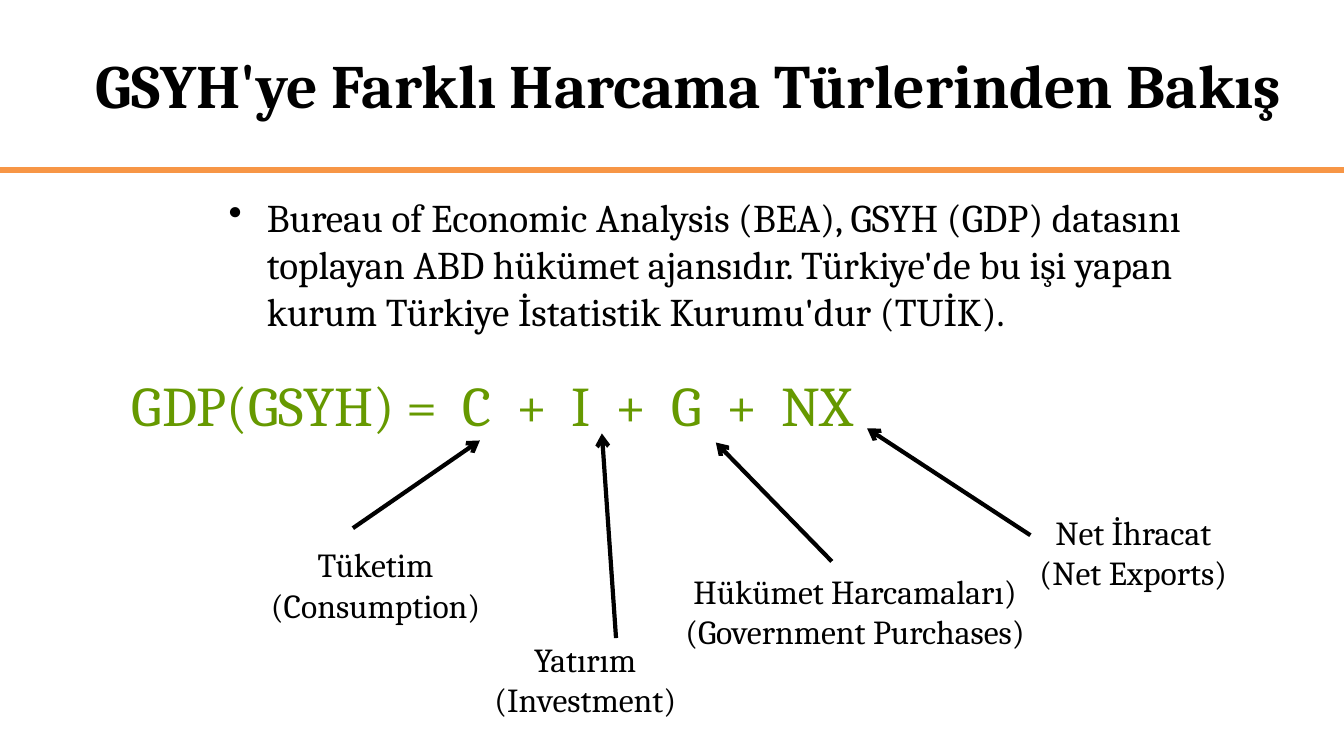
from dataclasses import dataclass

from lxml import etree
from pptx import Presentation
from pptx.dml.color import RGBColor
from pptx.enum.shapes import MSO_CONNECTOR
from pptx.enum.text import MSO_ANCHOR, MSO_AUTO_SIZE, PP_ALIGN
from pptx.oxml.ns import qn
from pptx.util import Inches, Pt

STRAIGHT = MSO_CONNECTOR.STRAIGHT
MIDDLE, TOP = MSO_ANCHOR.MIDDLE, MSO_ANCHOR.TOP
NO_AUTOFIT = MSO_AUTO_SIZE.NONE
LEFT, CENTER = PP_ALIGN.LEFT, PP_ALIGN.CENTER
TITLE_ONLY = 5


@dataclass(frozen=True)
class Theme:
    font: str = "Cambria"
    ink: RGBColor = RGBColor(0x00, 0x00, 0x00)
    rule: RGBColor = RGBColor(0xF7, 0x96, 0x46)
    equation: RGBColor = RGBColor(0x66, 0x99, 0x00)
    title_size: int = 44
    equation_size: int = 40
    body_size: int = 28
    label_size: int = 24
    rule_width: float = 4.5
    arrow_width: float = 3


@dataclass(frozen=True)
class Component:
    """A term of the equation: its label box and the arrow to its letter."""
    lines: tuple[str, str]
    box: tuple[float, float, float, float]
    start: tuple[float, float]
    end: tuple[float, float]


THEME = Theme()
COMPONENTS = [
    Component(("Tüketim", "(Consumption)"), (2.47, 5.35, 2.51, 1.31), (3.5, 5.24), (4.76, 4.37)),
    Component(("Yatırım", "(Investment)"), (4.77, 6.29, 2.07, 0.91), (6.11, 6.33), (5.97, 4.3)),
    Component(("Hükümet Harcamaları)", "(Government Purchases)"), (6.46, 5.61, 4.04, 1.72),
              (8.25, 5.57), (7.1, 4.39)),
    Component(("Net İhracat", "(Net Exports)"), (10.07, 5.03, 2.34, 1.31), (10.22, 5.31), (8.6, 4.25)),
]


def place(shape, box: tuple[float, float, float, float]) -> None:
    shape.left, shape.top, shape.width, shape.height = map(Inches, box)


def write(shape, lines: tuple[str, ...], size: int, color: RGBColor = THEME.ink,
          align: PP_ALIGN = LEFT, anchor: MSO_ANCHOR = TOP, bold: bool = False) -> None:
    frame = shape.text_frame
    frame.word_wrap = True
    frame.auto_size = NO_AUTOFIT
    frame.vertical_anchor = anchor
    frame.text = "\n".join(lines)
    for paragraph in frame.paragraphs:
        paragraph.alignment = align
        font = paragraph.font
        font.name, font.size, font.bold = THEME.font, Pt(size), bold
        font.color.rgb = color


def add_text(slide, box: tuple[float, float, float, float], lines: tuple[str, ...], size: int,
             color: RGBColor = THEME.ink, align: PP_ALIGN = LEFT):
    text_box = slide.shapes.add_textbox(*map(Inches, box))
    write(text_box, lines, size, color, align)
    return text_box


def add_bullet(paragraph, indent: float) -> None:
    properties = paragraph._p.get_or_add_pPr()
    properties.set("marL", str(Inches(indent)))
    properties.set("indent", str(-Inches(indent)))
    bullet = etree.Element(qn("a:buChar"), char="•")
    properties.insert_element_before(bullet, "a:tabLst", "a:defRPr", "a:extLst")


def add_line(slide, start: tuple[float, float], end: tuple[float, float],
             color: RGBColor, width: float, arrow: bool = False) -> None:
    connector = slide.shapes.add_connector(STRAIGHT, *map(Inches, start + end))
    connector.line.color.rgb = color
    connector.line.width = Pt(width)
    if arrow:
        etree.SubElement(connector.line._get_or_add_ln(), qn("a:tailEnd"), type="arrow")
    etree.SubElement(connector._element.spPr, qn("a:effectLst"))


def main() -> None:
    presentation = Presentation()
    presentation.slide_width, presentation.slide_height = Inches(13.33), Inches(7.5)
    slide = presentation.slides.add_slide(presentation.slide_layouts[TITLE_ONLY])

    # Title and the rule below it
    add_line(slide, (0, 1.69), (13.33, 1.69), THEME.rule, THEME.rule_width)
    title = slide.shapes.title
    place(title, (0, 0, 13.66, 1.67))
    write(title, ("GSYH'ye Farklı Harcama Türlerinden Bakış",), THEME.title_size,
          align=CENTER, anchor=MIDDLE, bold=True)

    # Data source
    agency = add_text(slide, (2.17, 1.87, 9.86, 1.6), (
        "Bureau of Economic Analysis (BEA), GSYH (GDP) datasını toplayan ABD hükümet ajansıdır. "
        "Türkiye'de bu işi yapan kurum Türkiye İstatistik Kurumu'dur (TUİK).",), THEME.body_size)
    add_bullet(agency.text_frame.paragraphs[0], 0.38)

    # Equation
    add_text(slide, (1.21, 3.63, 8.78, 0.77), ("GDP(GSYH) =  C  +  I  +  G  +  NX",),
             THEME.equation_size, THEME.equation)

    # Labels and arrows of the terms
    for component in COMPONENTS:
        add_text(slide, component.box, component.lines, THEME.label_size, align=CENTER)
        add_line(slide, component.start, component.end, THEME.ink, THEME.arrow_width, arrow=True)

    presentation.save("out.pptx")


if __name__ == "__main__":
    main()
